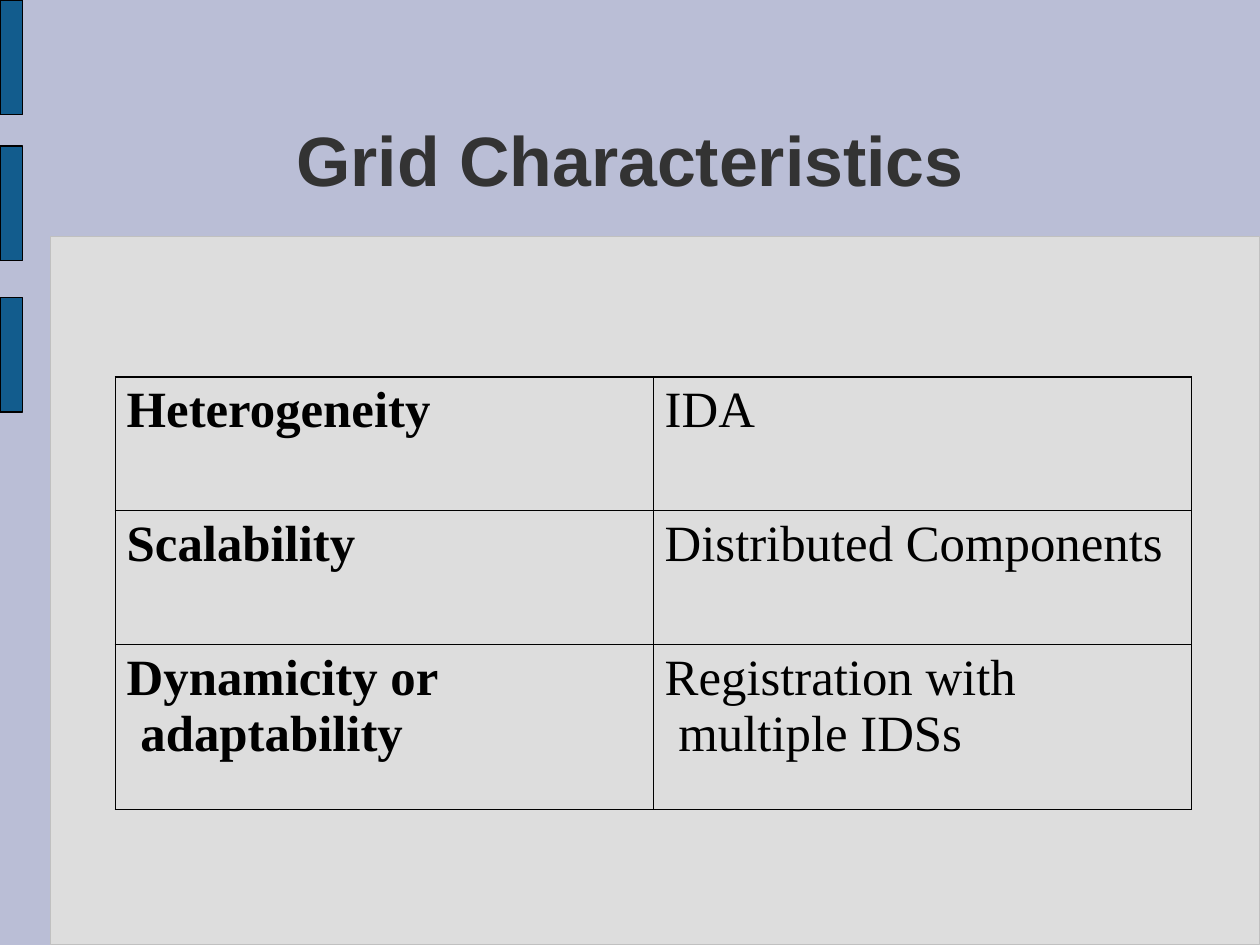
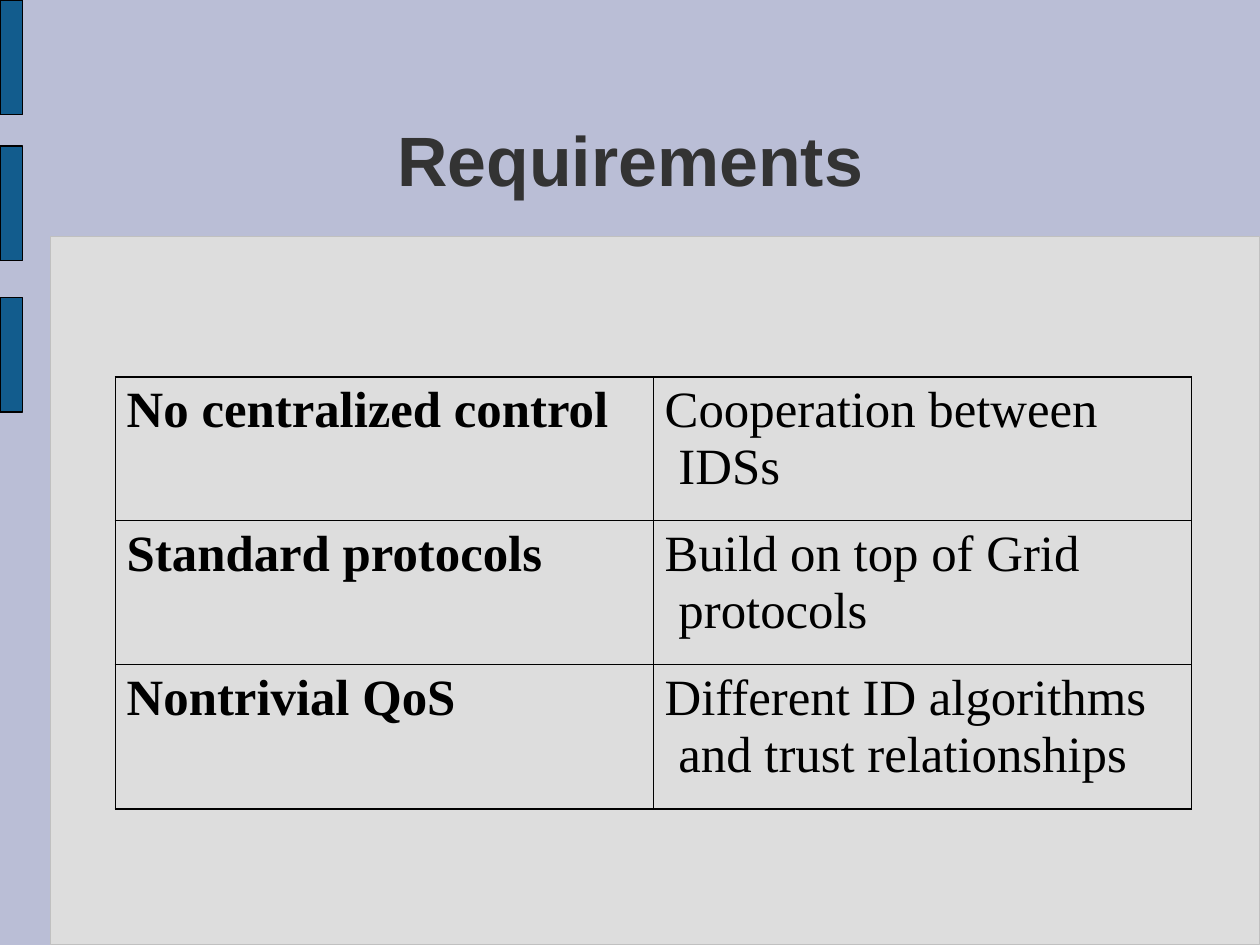
from dataclasses import dataclass

from lxml.etree import SubElement
from pptx import Presentation
from pptx.dml.color import RGBColor
from pptx.enum.shapes import MSO_SHAPE
from pptx.enum.text import MSO_ANCHOR, MSO_AUTO_SIZE, PP_ALIGN
from pptx.oxml.ns import qn
from pptx.slide import Slide, SlideLayout
from pptx.table import _Cell
from pptx.text.text import _Paragraph
from pptx.util import Cm, Inches, Pt

COLORS = {
    "background": "BABED6",
    "panel": "DDDDDD",
    "panel_line": "C0C0C0",
    "stripe": "125C8D",
    "title": "333333",
    "ink": "000000",
}
SLIDE_WIDTH, SLIDE_HEIGHT = Cm(28), Cm(21)
OUTER_BORDER, INNER_BORDER = Pt(1.08), Pt(0.45)
HANGING_INDENT = Inches(0.12)


@dataclass(frozen=True)
class Area:
    """A rectangle in percent of the slide's width and height."""
    left: float
    top: float
    width: float
    height: float

    def box(self) -> tuple[int, int, int, int]:
        return (across(self.left), down(self.top),
                across(self.width), down(self.height))


@dataclass(frozen=True)
class Block:
    area: Area
    fill: str
    line: str


@dataclass(frozen=True)
class Comparison:
    title: str
    row_heights: tuple[float, ...]
    rows: tuple[tuple[str, str], ...]


TITLE_AREA = Area(7.35, 7.4, 85.4, 16.7)
TABLE_LEFT, TABLE_TOP, TABLE_WIDTH = 9.15, 39.87, 85.4
BACKDROP = [Block(Area(4, 25, 96, 75), "panel", "panel_line")] + [
    Block(Area(0, top, 1.8, 12.15), "stripe", "ink") for top in (0, 15.45, 31.45)
]
COMPARISONS = (
    Comparison("Grid Characteristics", (14.15, 14.15, 17.5), (
        ("Heterogeneity", "IDA"),
        ("Scalability", "Distributed Components"),
        ("Dynamicity or adaptability", "Registration with multiple IDSs"),
    )),
    Comparison("Requirements", (15.24,) * 3, (
        ("No centralized control", "Cooperation between IDSs"),
        ("Standard protocols", "Build on top of Grid protocols"),
        ("Nontrivial QoS", "Different ID algorithms and trust relationships"),
    )),
)


def across(percent: float) -> int:
    return round(SLIDE_WIDTH * percent / 100)


def down(percent: float) -> int:
    return round(SLIDE_HEIGHT * percent / 100)


def color(name: str) -> RGBColor:
    return RGBColor.from_string(COLORS[name])


def style_font(paragraph: _Paragraph, name: str, size: int, ink: str, bold: bool) -> None:
    font = paragraph.font
    font.name, font.size, font.bold = name, Pt(size), bold
    font.color.rgb = color(ink)


def prepare_layout(layout: SlideLayout) -> None:
    """Keep only the title placeholder, and put it in its place."""
    title, *others = layout.placeholders
    for placeholder in others:
        layout.shapes.element.remove(placeholder.element)
    title.left, title.top, title.width, title.height = TITLE_AREA.box()


def move_backdrop_to_layout(slide: Slide) -> None:
    """Draw the panel and stripes, then hand them to the slide's layout."""
    shapes = []
    for block in BACKDROP:
        shape = slide.shapes.add_shape(MSO_SHAPE.RECTANGLE, *block.area.box())
        shape.shadow.inherit = False
        shape.fill.solid()
        shape.fill.fore_color.rgb = color(block.fill)
        shape.line.color.rgb = color(block.line)
        shape.line.width = Pt(0.75)
        shapes.append(shape)
    layout_tree = slide.slide_layout.shapes.element
    for position, shape in enumerate(shapes, start=2):
        layout_tree.insert(position, shape.element)


def write_title(slide: Slide, text: str) -> None:
    frame = slide.shapes.title.text_frame
    frame.text = text
    frame.auto_size = MSO_AUTO_SIZE.NONE
    frame.vertical_anchor = MSO_ANCHOR.MIDDLE
    frame.margin_left = frame.margin_top = frame.margin_right = frame.margin_bottom = 0
    heading = frame.paragraphs[0]
    heading.alignment = PP_ALIGN.CENTER
    heading.line_spacing = 1.24
    style_font(heading, "Arial", 44, "title", bold=True)


def set_borders(cell: _Cell, outer_sides: dict[str, bool]) -> None:
    properties = cell._tc.get_or_add_tcPr()
    for side, is_outer in outer_sides.items():
        width = OUTER_BORDER if is_outer else INNER_BORDER
        border = SubElement(properties, qn(f"a:ln{side}"), w=str(int(width)))
        fill = SubElement(border, qn("a:solidFill"))
        SubElement(fill, qn("a:srgbClr"), val=COLORS["ink"])


def write_cell(cell: _Cell, text: str, bold: bool) -> None:
    cell.text = text
    entry = cell.text_frame.paragraphs[0]
    entry.space_before = Pt(8)
    indents = entry._p.get_or_add_pPr()
    indents.set("marL", str(int(HANGING_INDENT)))
    indents.set("indent", str(-int(HANGING_INDENT)))
    style_font(entry, "Times New Roman", 32, "ink", bold)


def add_comparison_table(slide: Slide, comparison: Comparison) -> None:
    area = Area(TABLE_LEFT, TABLE_TOP, TABLE_WIDTH, sum(comparison.row_heights))
    table = slide.shapes.add_table(len(comparison.rows), 2, *area.box()).table
    table.first_row = table.horz_banding = False
    last_row = len(comparison.rows) - 1
    for r, (height, texts) in enumerate(zip(comparison.row_heights, comparison.rows)):
        table.rows[r].height = down(height)
        for c, text in enumerate(texts):
            cell = table.cell(r, c)
            write_cell(cell, text, bold=c == 0)
            set_borders(cell, {"L": c == 0, "R": c == 1, "T": r == 0, "B": r == last_row})
            cell.fill.background()


def main() -> None:
    deck = Presentation()
    deck.slide_width, deck.slide_height = SLIDE_WIDTH, SLIDE_HEIGHT
    background = deck.slide_master.background.fill
    background.solid()
    background.fore_color.rgb = color("background")
    layout = deck.slide_layouts.get_by_name("Title Only")
    prepare_layout(layout)
    for number, comparison in enumerate(COMPARISONS):
        slide = deck.slides.add_slide(layout)
        if number == 0:
            move_backdrop_to_layout(slide)
        write_title(slide, comparison.title)
        add_comparison_table(slide, comparison)
    deck.save("out.pptx")


if __name__ == "__main__":
    main()
